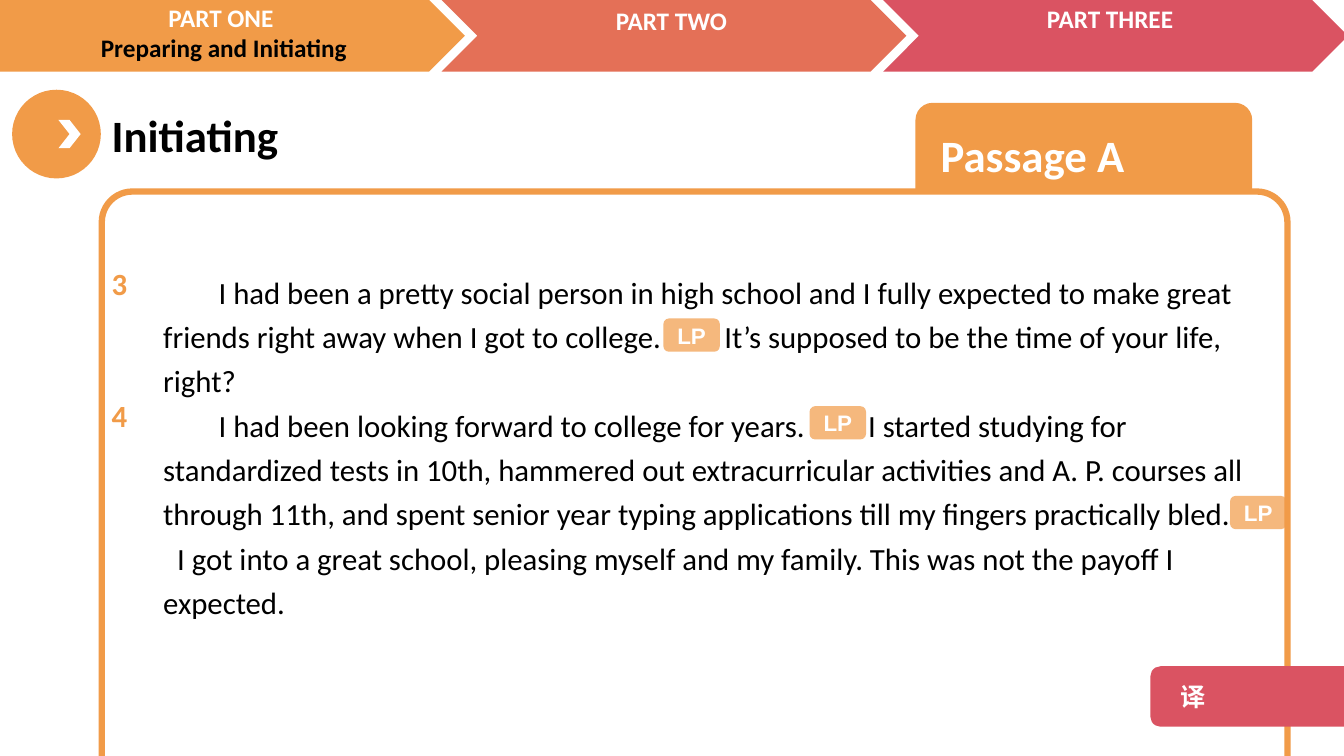
import pptx
import pptx.dml.color
import pptx.enum.shapes
import pptx.enum.text
import pptx.oxml
import pptx.oxml.ns
import pptx.util
from pptx.util import Inches

SHAPES = pptx.enum.shapes.MSO_SHAPE
ALIGN = pptx.enum.text.PP_ALIGN
ANCHOR = pptx.enum.text.MSO_ANCHOR
ORANGE, CORAL, RED = "F19B48", "E47057", "DA5362"
WHITE, BLACK = "FFFFFF", "000000"


def color(hex_string):
    return pptx.dml.color.RGBColor.from_string(hex_string)


def add_block(slide, kind, left, top, width, height, fill, alpha=None):
    shape = slide.shapes.add_shape(
        kind, Inches(left), Inches(top), Inches(width), Inches(height))
    shape.shadow.inherit = False
    shape.fill.solid()
    shape.fill.fore_color.rgb = color(fill)
    shape.line.fill.background()
    if alpha:
        fill_element = shape.fill._xPr.find(".//" + pptx.oxml.ns.qn("a:srgbClr"))
        alpha_element = pptx.oxml.parse_xml(
            f'<a:alpha {pptx.oxml.ns.nsdecls("a")} val="{alpha * 1000}"/>')
        fill_element.append(alpha_element)
    return shape


def add_text_box(slide, left, top, width, height):
    box = slide.shapes.add_textbox(
        Inches(left), Inches(top), Inches(width), Inches(height))
    box.text_frame.word_wrap = True
    return box.text_frame


def add_run(paragraph, text, size, fill, bold=True, font="Calibri"):
    run = paragraph.add_run()
    run.text = text
    run.font.size = pptx.util.Pt(size)
    run.font.name = font
    run.font.bold = bold
    run.font.color.rgb = color(fill)
    if font.startswith("Noto"):
        east_asian = pptx.oxml.parse_xml(
            f'<a:ea {pptx.oxml.ns.nsdecls("a")} typeface="{font}"/>')
        run.font._element.append(east_asian)
    return run


def add_wide_space(paragraph, size, extra_points):
    run = add_run(paragraph, " ", size, BLACK, bold=False)
    run.font._element.set("spc", str(extra_points * 100))


def label_shape(shape, text, size, align, inset, font="Calibri"):
    frame = shape.text_frame
    frame.word_wrap = False
    frame.vertical_anchor = ANCHOR.MIDDLE
    frame.margin_left = Inches(inset)
    paragraph = frame.paragraphs[0]
    paragraph.alignment = align
    add_run(paragraph, text, size, WHITE, font=font)


def next_paragraph(frame, index):
    return frame.add_paragraph() if index else frame.paragraphs[0]


def indent_first_line(paragraph, indent):
    properties = paragraph._p.get_or_add_pPr()
    properties.set("marL", "0")
    properties.set("indent", str(Inches(indent)))


def add_navigation(slide, left, top, width, height):
    step = 4.38
    parts = [
        (ORANGE, 0.61, -0.06, -0.03,
         [("PART ONE ", WHITE), ("Preparing and Initiating", BLACK)]),
        (CORAL, 0, 0, 0, [("PART TWO", WHITE)]),
        (RED, 0, -0.03, -0.02, [("PART THREE", WHITE)]),
    ]
    for index, (fill, overhang, text_left, text_top, lines) in enumerate(parts):
        part_left = left + step * index
        add_block(slide, SHAPES.CHEVRON, part_left - overhang, top,
                  width + overhang, height, fill)
        frame = add_text_box(slide, part_left + text_left, top + text_top, 4.56, height)
        for number, (text, text_fill) in enumerate(lines):
            paragraph = next_paragraph(frame, number)
            paragraph.alignment = ALIGN.CENTER
            add_run(paragraph, text, 18, text_fill)


def add_heading(slide, left, top, diameter):
    add_block(slide, SHAPES.OVAL, left, top, diameter, diameter, ORANGE)
    add_block(slide, SHAPES.CHEVRON, left + 0.46, top + 0.3, 0.22, 0.28, WHITE)
    frame = add_text_box(slide, left + diameter + 0.01, top + 0.13, 4.85, 0.64)
    add_run(frame.paragraphs[0], "Initiating", 32, BLACK)


def add_panel(slide, left, top, width, height):
    tab = add_block(slide, SHAPES.ROUNDED_RECTANGLE, left + 8.07, top - 0.88, 3.34, 1.02, ORANGE)
    label_shape(tab, "Passage A", 32, ALIGN.LEFT, 0.2)
    panel = add_block(slide, SHAPES.ROUNDED_RECTANGLE, left, top, width, height, WHITE)
    panel.adjustments[0] = 0.047
    panel.line.color.rgb = color(ORANGE)
    panel.line.width = pptx.util.Pt(4.5)


def add_passage(slide, left, top, width, height):
    passages = [
        [["I had been a pretty social person in high school and I fully expected to make "
          "great friends right away when I got to college.",
          "It’s supposed to be the time of your life, right?"]],
        [["I had been looking forward to college for years.",
          "I started studying for standardized tests in 10th, hammered out extracurricular "
          "activities and A. P. courses all through 11th, and spent senior year typing "
          "applications till my fingers practically bled."],
         ["I got into a great school, pleasing myself and my family. This was not the "
          "payoff I expected."]],
    ]
    frame = add_text_box(slide, left, top, width, height)
    for index, sections in enumerate(passages):
        paragraph = next_paragraph(frame, index)
        paragraph.line_spacing = 1.2
        indent_first_line(paragraph, 0.55)
        for number, section in enumerate(sections):
            if number:
                paragraph.add_line_break()
                add_wide_space(paragraph, 22, 5)
            for position, piece in enumerate(section):
                if position:
                    add_wide_space(paragraph, 22, 40)
                add_run(paragraph, piece, 22, BLACK, bold=False)

    numbers = add_text_box(slide, left - 0.51, top - 0.09, 0.51, height)
    for index, number in enumerate("34"):
        paragraph = next_paragraph(numbers, index)
        paragraph.line_spacing = 1.2
        if index:
            paragraph.space_before = pptx.util.Pt(63)
        add_run(paragraph, number, 22, ORANGE)

    for badge_left, badge_top in [(5.06, 0.57), (6.51, 1.44), (10.68, 2.33)]:
        badge = add_block(slide, SHAPES.ROUNDED_RECTANGLE, left + badge_left,
                          top + badge_top, 0.56, 0.33, ORANGE, alpha=71)
        label_shape(badge, "LP", 16, ALIGN.CENTER, 0.1, "Arial")


def add_translation_button(slide, left, top, width, height):
    button = add_block(slide, SHAPES.ROUNDED_RECTANGLE, left, top, width, height, RED)
    label_shape(button, "译", 18, ALIGN.LEFT, 0.27, "Noto Sans CJK SC")


def main():
    presentation = pptx.Presentation()
    presentation.slide_width = Inches(13.33)
    presentation.slide_height = Inches(7.5)
    slide = presentation.slides.add_slide(presentation.slide_layouts[6])
    add_heading(slide, 0.12, 0.89, 0.88)
    add_panel(slide, 1.01, 1.9, 11.76, 6.45)
    add_navigation(slide, 0, 0, 4.61, 0.71)
    add_passage(slide, 1.52, 2.59, 11.25, 3.65)
    add_translation_button(slide, 11.41, 6.61, 2.13, 0.6)
    presentation.save("out.pptx")


if __name__ == "__main__":
    main()
